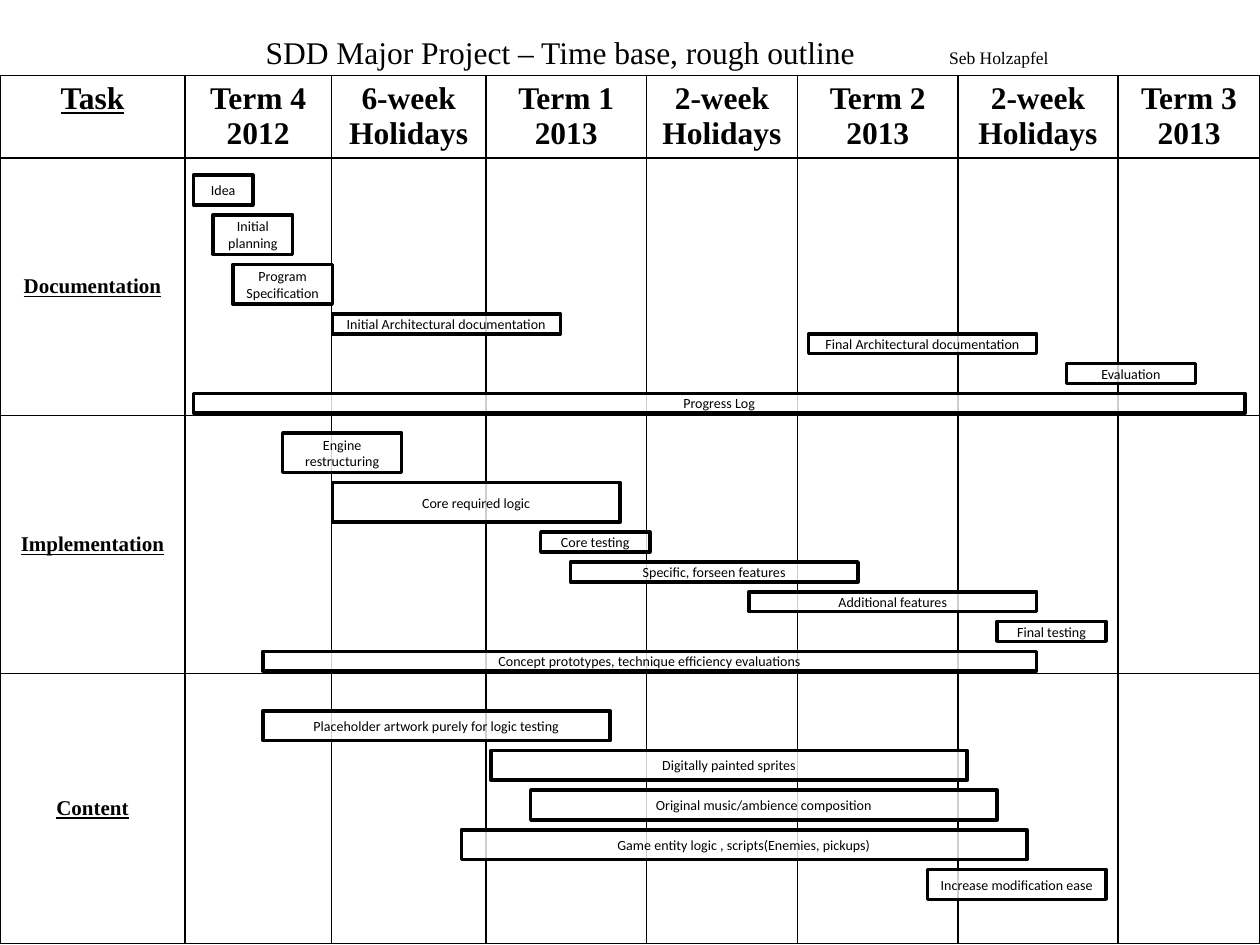
from lxml import etree
from pptx import Presentation
from pptx import util as u
from pptx.dml.color import RGBColor
from pptx.enum import shapes, text
from pptx.oxml import ns

BLACK = RGBColor(0, 0, 0)
WHITE = RGBColor(255, 255, 255)
SERIF, SANS = "Times New Roman", "Calibri"
GAP = 0.2

HEADS = ["Task", "Term 4 2012", "6-week\nHolidays", "Term 1 2013",
         "2-week Holidays", "Term 2 2013", "2-week Holidays", "Term 3 2013"]
TASKS = ["Documentation", "Implementation", "Content"]
COLS = [3.73, 2.95, 3.12, 3.23, 3.05, 3.23, 3.23, 2.86]
ROWS = [1.65, 5.2, 5.2, 5.44]

# Each group: top of its first bar, then (label, left, width, height, gap below)
GROUPS = [
    (3.53, [
        ("Idea", 3.9, 1.2, 0.6, GAP),
        ("Initial planning", 4.3, 1.6, 0.8, GAP),
        ("Program Specification", 4.7, 2.0, 0.8, GAP),
        ("Initial Architectural documentation", 6.7, 4.6, 0.4, 0),
        ("Final Architectural documentation", 16.3, 4.6, 0.4, GAP),
        ("Evaluation", 21.5, 2.6, 0.4, GAP),
        ("Progress Log", 3.9, 21.2, 0.4, GAP)]),
    (8.73, [
        ("Engine restructuring", 5.7, 2.4, 0.8, GAP),
        ("Core required logic", 6.7, 5.8, 0.8, GAP),
        ("Core testing", 10.9, 2.2, 0.4, GAP),
        ("Specific, forseen features", 11.5, 5.8, 0.4, GAP),
        ("Additional features", 15.1, 5.8, 0.4, GAP),
        ("Final testing", 20.1, 2.2, 0.4, GAP),
        ("Concept prototypes, technique efficiency evaluations",
         5.3, 15.6, 0.4, GAP)]),
    (14.33, [
        ("Placeholder artwork purely for logic testing", 5.3, 7.0, 0.6, GAP),
        ("Digitally painted sprites", 9.9, 9.6, 0.6, GAP),
        ("Original music/ambience composition", 10.7, 9.4, 0.6, GAP),
        ("Game entity logic , scripts(Enemies, pickups)", 9.3, 11.4, 0.6, GAP),
        ("Increase modification ease", 18.7, 3.6, 0.6, GAP)]),
]


def style(run, face, size, bold=False, line=False):
    """Format one run of text."""
    font = run.font
    font.name, font.size = face, u.Pt(size)
    font.bold, font.underline = bold, line
    font.color.rgb = BLACK


def center(frame, *looks):
    """Centre every paragraph of a frame and format its runs."""
    for para in frame.paragraphs:
        para.alignment = text.PP_ALIGN.CENTER
        for run in para.runs:
            style(run, *looks)


def child(node, tag, **attrs):
    """Add an XML child in the drawing namespace."""
    return etree.SubElement(node, ns.qn("a:" + tag), attrs)


def border(cell):
    """Draw a thin black line on all sides of a cell, without fill."""
    props = cell._tc.get_or_add_tcPr()
    for side in ("lnL", "lnR", "lnT", "lnB"):
        line = child(props, side, w=str(u.Pt(1)))
        child(child(line, "solidFill"), "srgbClr", val=str(BLACK))
    cell.fill.background()


def add_title(slide):
    """Place the title, with the author after a tab stop."""
    title = slide.shapes.title
    title.left, title.top = u.Cm(5.1), u.Cm(0.53)
    title.width, title.height = u.Cm(17.2), u.Cm(1.02)
    frame = title.text_frame
    frame.text = "SDD Major Project – Time base, rough outline\t"
    frame.vertical_anchor = text.MSO_ANCHOR.TOP
    frame.auto_size = text.MSO_AUTO_SIZE.NONE
    para = frame.paragraphs[0]
    para.alignment = text.PP_ALIGN.LEFT
    tabs = child(para._p.get_or_add_pPr(), "tabLst")
    child(tabs, "tab", pos=str(u.Cm(13.78)), algn="l")
    para.add_run().text = "Seb Holzapfel"
    for run, size in zip(para.runs, (18, 10)):
        style(run, SERIF, size)


def add_grid(slide):
    """Add the table of terms and tasks."""
    grid = slide.shapes.add_table(
        len(ROWS), len(COLS), 0, u.Cm(1.52),
        u.Cm(sum(COLS)), u.Cm(sum(ROWS))).table
    for col, width in zip(grid.columns, COLS):
        col.width = u.Cm(width)
    for row, height in zip(grid.rows, ROWS):
        row.height = u.Cm(height)
    for cell in grid.iter_cells():
        border(cell)
    for i, head in enumerate(HEADS):
        cell = grid.cell(0, i)
        cell.text_frame.text = head
        center(cell.text_frame, SERIF, 18, True, i == 0)
    for i, task in enumerate(TASKS, 1):
        cell = grid.cell(i, 0)
        cell.text_frame.text = task
        cell.vertical_anchor = text.MSO_ANCHOR.MIDDLE
        center(cell.text_frame, SERIF, 12, True, True)


def add_bar(slide, label, left, top, width, height):
    """Add one labelled, slightly see-through bar."""
    bar = slide.shapes.add_shape(
        shapes.MSO_SHAPE.RECTANGLE,
        u.Cm(left), u.Cm(top), u.Cm(width), u.Cm(height))
    bar.shadow.inherit = False
    bar.fill.solid()
    bar.fill.fore_color.rgb = WHITE
    tint = bar._element.spPr.find(".//" + ns.qn("a:srgbClr"))
    child(tint, "alpha", val="81000")
    bar.line.color.rgb = BLACK
    bar.line.width = u.Pt(2)
    frame = bar.text_frame
    frame.text = label
    frame.word_wrap = True
    frame.vertical_anchor = text.MSO_ANCHOR.MIDDLE
    center(frame, SANS, 8)


def add_group(slide, top, bars):
    """Stack the bars of one task downwards."""
    for label, left, width, height, gap in bars:
        add_bar(slide, label, left, top, width, height)
        top += height + gap


def main():
    """Build and save the slide."""
    deck = Presentation()
    deck.slide_width, deck.slide_height = u.Cm(25.4), u.Cm(19.05)
    slide = deck.slides.add_slide(deck.slide_layouts.get_by_name("Title Only"))
    add_grid(slide)
    add_title(slide)
    for top, bars in GROUPS:
        add_group(slide, top, bars)
    deck.save("out.pptx")


main()
